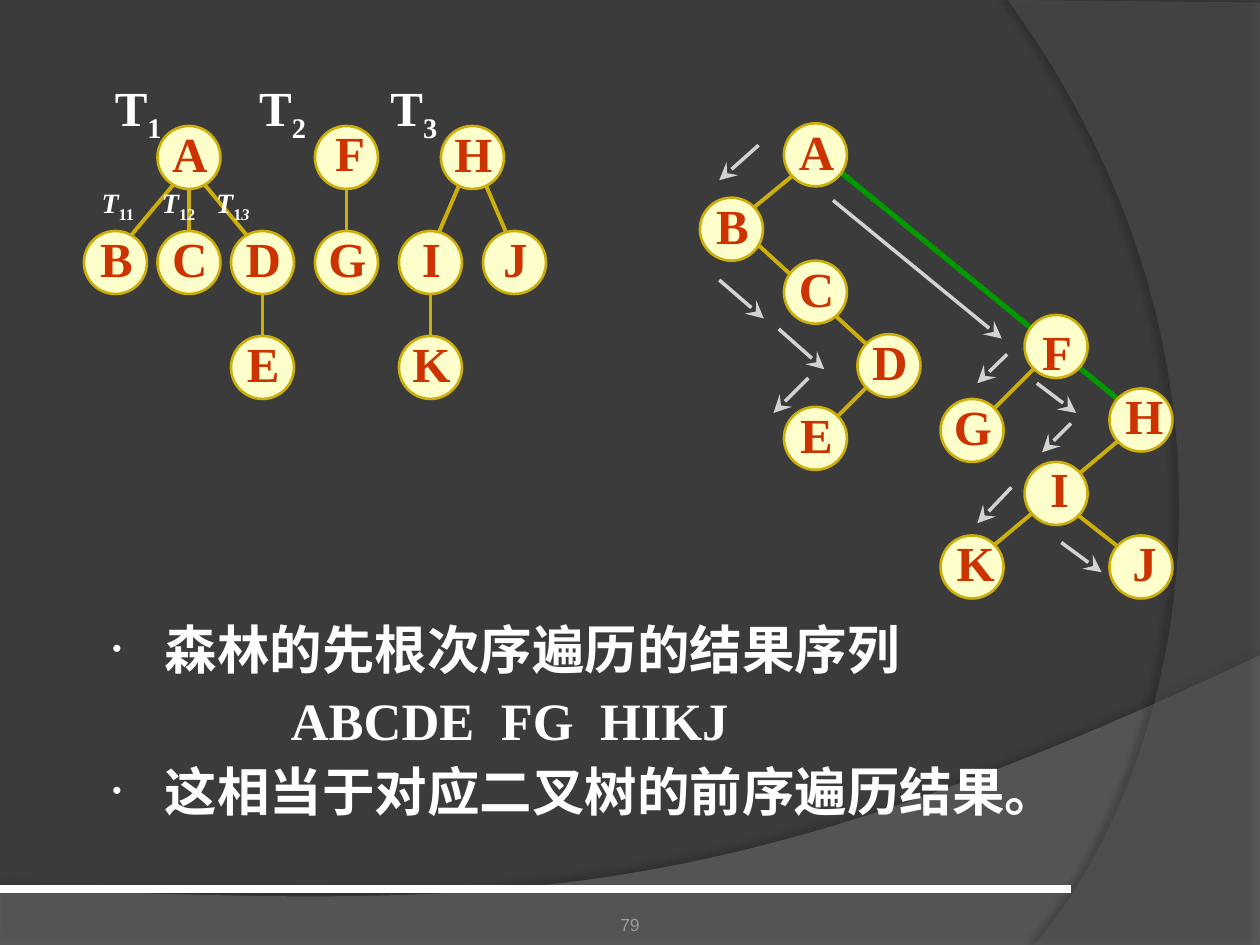
from lxml.etree import SubElement
from pptx import Presentation
from pptx.dml.color import RGBColor
from pptx.enum.shapes import MSO_CONNECTOR as CONNECTOR, MSO_SHAPE as SHAPE
from pptx.enum.text import MSO_ANCHOR as ANCHOR, PP_ALIGN as ALIGN
from pptx.oxml import parse_xml
from pptx.oxml.ns import nsdecls, qn
from pptx.util import Pt

BACKGROUND = RGBColor(0x3B, 0x3B, 0x3B)
SWOOSH = RGBColor(0x7F, 0x7F, 0x7F)
ARC = RGBColor(0x5E, 0x5E, 0x5E)
WHITE = RGBColor(0xFF, 0xFF, 0xFF)
GREY = RGBColor(0x9D, 0x9B, 0x9A)
SILVER = RGBColor(0xD4, 0xD2, 0xD0)
GOLD = RGBColor(0xCC, 0xAF, 0x0A)
GREEN = RGBColor(0x00, 0x99, 0x00)
CREAM = RGBColor(0xFF, 0xFF, 0xCC)
RED = RGBColor(0xCC, 0x33, 0x00)

SERIF = {"name": "Times New Roman", "bold": True}
LETTER = {**SERIF, "size": Pt(28)}
SUBTREE = {**SERIF, "size": Pt(16)}
BODY = {**SERIF, "size": Pt(30)}
NUMBER = {"name": "Arial", "size": Pt(10)}
NO_MARGINS = {"margin_left": 0, "margin_right": 0, "margin_bottom": 0}

prs = Presentation()
prs.slide_width, prs.slide_height = Pt(720), Pt(540)
slide = prs.slides.add_slide(prs.slide_layouts[1])
shapes = slide.shapes
slide.background.fill.solid()
slide.background.fill.fore_color.rgb = BACKGROUND


def write(paragraph, text, look, color, **extra):
    run = paragraph.add_run()
    run.text = text
    for key, value in look.items():
        setattr(run.font, key, value)
    run.font.color.rgb = color
    for key, value in extra.items():
        run._r.get_or_add_rPr().set(key, str(value))


def connect(x1, y1, x2, y2, color, width, arrow=False):
    link = shapes.add_connector(CONNECTOR.STRAIGHT, Pt(x1), Pt(y1), Pt(x2), Pt(y2))
    link.line.color.rgb = color
    link.line.width = Pt(width)
    if arrow:
        SubElement(link.line._get_or_add_ln(), qn("a:tailEnd"),
                   type="stealth", w="lg", len="lg")
    SubElement(link._element.spPr, qn("a:effectLst"))


# Backdrop: corners before the curve, its four control points, corners after it
# then colour, opacity, shadow opacity, blur, distance and direction
backdrops = [
    ([(0, 540.5), (720, 540.5)],
     [(720, 374.4), (402.5, 524.9), (281.5, 517.7), (0, 507.6)],
     [], SWOOSH, 45, 35, 4, 3.5, 270),
    ([(720, 1.5), (720, 540)],
     [(591, 540), (673, 445.7), (733, 216), (576, 0)],
     [], ARC, 40, 45, 4, 4, 180),
]
STEPS = 40
for before, (p0, p1, p2, p3), after, color, alpha, dark, blur, dist, angle in backdrops:
    curve = []
    for t in (step / STEPS for step in range(STEPS + 1)):
        u = 1 - t
        curve.append([u**3 * a + 3 * u * u * t * b + 3 * u * t * t * c + t**3 * d
                      for a, b, c, d in zip(p0, p1, p2, p3)])
    outline = [(Pt(x), Pt(y)) for x, y in before + curve + after]
    builder = shapes.build_freeform(*outline[0])
    builder.add_line_segments(outline[1:])
    backdrop = builder.convert_to_shape()
    backdrop.fill.solid()
    backdrop.fill.fore_color.rgb = color
    backdrop.line.fill.background()
    tint = backdrop._element.spPr.find(qn("a:solidFill"))[0]
    SubElement(tint, qn("a:alpha"), val=str(alpha * 1000))
    backdrop._element.spPr.append(parse_xml(
        f'<a:effectLst {nsdecls("a")}><a:outerShdw blurRad="{Pt(blur)}" '
        f'dist="{Pt(dist)}" dir="{angle * 60000}"><a:srgbClr val="000000">'
        f'<a:alpha val="{dark * 1000}"/></a:srgbClr></a:outerShdw></a:effectLst>'))
connect(0, 508, 612, 508, WHITE, 4.5)

# Slide number
number = shapes.add_textbox(Pt(246), Pt(505.5), Pt(228), Pt(29)).text_frame
for key, value in {**NO_MARGINS, "word_wrap": True, "vertical_anchor": ANCHOR.BOTTOM}.items():
    setattr(number, key, value)
number.paragraphs[0].alignment = ALIGN.CENTER
write(number.paragraphs[0], "79", NUMBER, GREY)

# Conclusion list, brought in front of the backdrop
title = shapes.title._element
title.getparent().remove(title)
conclusion = slide.placeholders[1]
shapes._spTree.append(conclusion._element)
for key, value in {"left": 54, "top": 349, "width": 648, "height": 145}.items():
    setattr(conclusion, key, Pt(value))
lines = [
    (["森林的先根次序遍历的结果序列"], True),
    (["ABCDE", "FG", "HIKJ"], False),
    (["这相当于对应二叉树的前序遍历结果。"], True),
]
for i, (groups, bulleted) in enumerate(lines):
    frame = conclusion.text_frame
    line = frame.paragraphs[0] if i == 0 else frame.add_paragraph()
    line.space_before = Pt(4.5 if i else 0)
    layout = line._p.get_or_add_pPr()
    layout.set("marL", str(Pt(33 if bulleted else 105)))
    layout.set("indent", str(Pt(-30 if bulleted else 0)))
    if bulleted:
        SubElement(layout, qn("a:buSzPct"), val="50000")
        SubElement(layout, qn("a:buChar"), char="•")
    else:
        SubElement(layout, qn("a:buNone"))
    for j, group in enumerate(groups):
        if j:
            write(line, " ", BODY, WHITE, spc=750)  # widened gap between trees
        write(line, group, BODY, WHITE)

# Tree edges: the forest, then the binary tree
forest_edges = [
    (276, 102, 294, 144), (264, 102, 246, 144), (114, 102, 144, 138),
    (102, 102, 72, 138), (246, 162, 246, 198), (150, 162, 150, 198),
    (198, 102, 198, 138), (108, 102, 108, 138),
]
binary_edges = [
    (502, 214.5, 471.5, 245), (423.5, 131, 502, 203), (459.5, 95, 423.5, 124.5),
    (615.5, 294, 646, 318), (646, 246, 567.5, 312), (597.5, 204, 561.5, 240),
]
connect(477.5, 96, 646, 234, GREEN, 3)
for edge in forest_edges + binary_edges:
    connect(*edge, GOLD, 2.25)

# Nodes: letter, left and top of the circle, shift of the letter
NODE = 36
LABEL_HEIGHT = 41
NUDGE = (0.5, -5)
RIGHT = (2, -5.5)
label_widths = dict(zip("ABCDEFGHIJK", (34.5, 33, 34.5, 34.5, 33, 32, 36, 36, 25, 29, 36)))
nodes = [
    ("A", 90, 72, NUDGE), ("F", 180, 72, RIGHT), ("H", 252, 72, NUDGE),
    ("B", 48, 132, NUDGE), ("C", 90, 132, NUDGE), ("D", 132, 132, NUDGE),
    ("G", 180, 132, NUDGE), ("I", 228, 132, NUDGE), ("J", 276, 132, NUDGE),
    ("E", 132, 192, NUDGE), ("K", 228, 192, NUDGE),
    ("A", 448, 70.5, NUDGE), ("B", 400, 113, NUDGE), ("C", 448, 149, NUDGE),
    ("D", 490, 191, NUDGE), ("E", 448, 232.5, NUDGE), ("F", 585.5, 180, (0.5, 0)),
    ("G", 537.5, 228, NUDGE), ("H", 634, 222, RIGHT), ("I", 585.5, 264, RIGHT),
    ("K", 537.5, 306, RIGHT), ("J", 634, 306, RIGHT),
]
for letter, x, y, (dx, dy) in nodes:
    circle = shapes.add_shape(SHAPE.OVAL, Pt(x), Pt(y), Pt(NODE), Pt(NODE))
    circle.shadow.inherit = False
    circle.fill.solid()
    circle.fill.fore_color.rgb = CREAM
    circle.line.color.rgb = GOLD
    circle.line.width = Pt(1.5)
    width = label_widths[letter]
    label = shapes.add_textbox(Pt(x + (NODE - width) / 2 + dx), Pt(y + dy),
                               Pt(width), Pt(LABEL_HEIGHT)).text_frame
    label.word_wrap = False
    label.vertical_anchor = ANCHOR.MIDDLE
    label.paragraphs[0].alignment = ALIGN.CENTER
    write(label.paragraphs[0], letter, LETTER, RED)

# Traversal arrows
traversal = [
    (433.5, 83, 411, 103), (411, 160, 436.5, 182), (445, 188, 471, 211),
    (462, 216, 442, 236), (476, 114.5, 572.5, 193.5), (575.5, 202.5, 558.5, 219),
    (592.5, 219, 615, 236), (612, 242, 595.5, 258.5), (578, 278.5, 558.5, 299),
    (606.5, 310, 629.5, 327),
]
for arrow in traversal:
    connect(*arrow, SILVER, 2, arrow=True)

# Names of the trees and of the subtrees, on tab stops
ITALIC = {**SUBTREE, "italic": True}
names = [
    ((58.5, 40.5, 204, 41), (82.5, 157.5), LETTER,
     [[("1", LETTER)], [("2", LETTER)], [("3", LETTER)]]),
    ((51, 102.5, 111, 27), (34.5, 65.5), ITALIC,
     [[("11", SUBTREE)], [("12", SUBTREE)], [("1", SUBTREE), ("3", ITALIC)]]),
]
for place, stops, look, indices in names:
    row = shapes.add_textbox(*map(Pt, place)).text_frame
    row.word_wrap = True
    line = row.paragraphs[0]
    tabs = SubElement(line._p.get_or_add_pPr(), qn("a:tabLst"))
    for stop in stops:
        SubElement(tabs, qn("a:tab"), pos=str(Pt(stop)), algn="l")
    for i, index in enumerate(indices):
        write(line, "\tT" if i else "T", look, WHITE)
        for digits, digit_look in index:
            write(line, digits, digit_look, WHITE, baseline=-25000)

prs.save("out.pptx")
